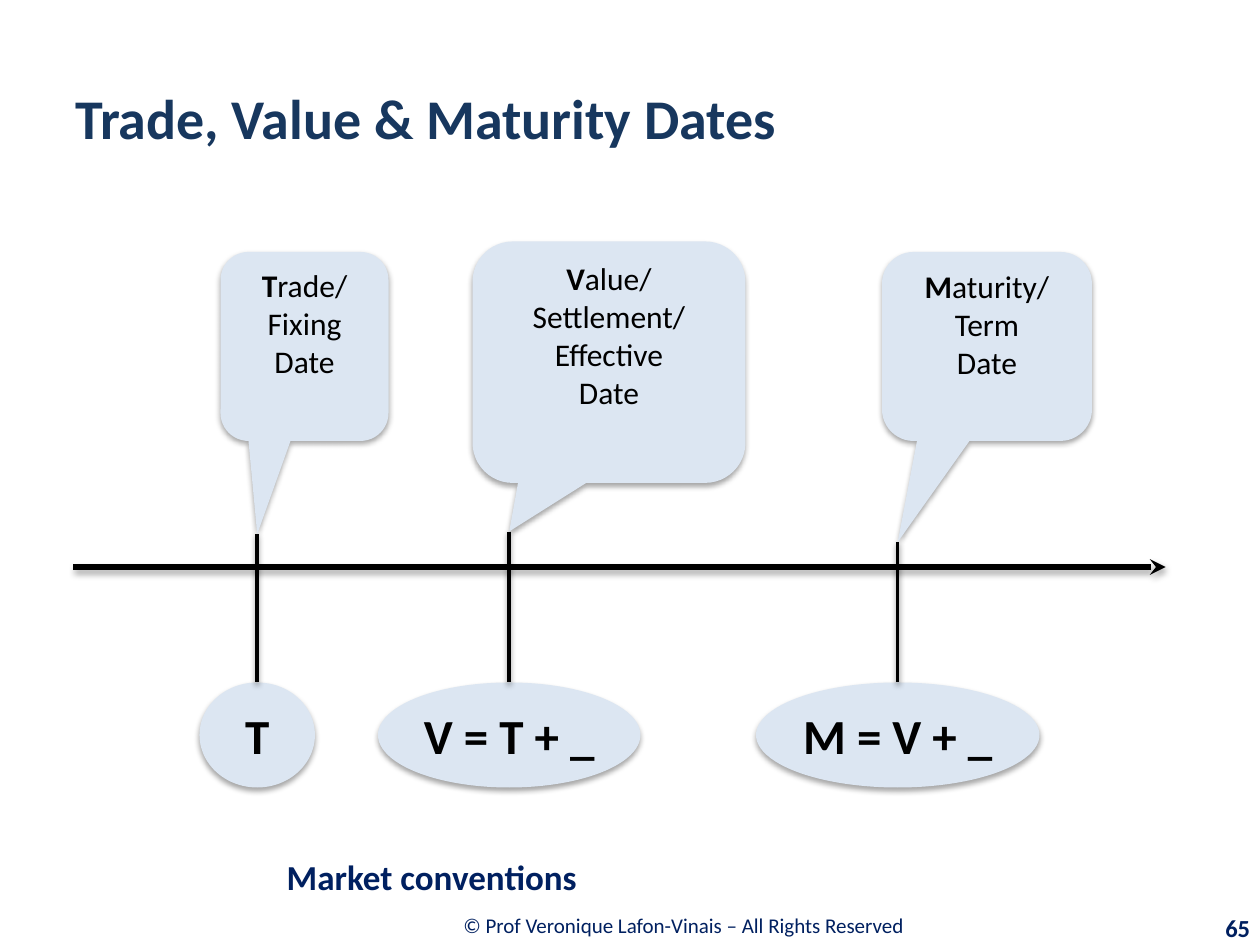
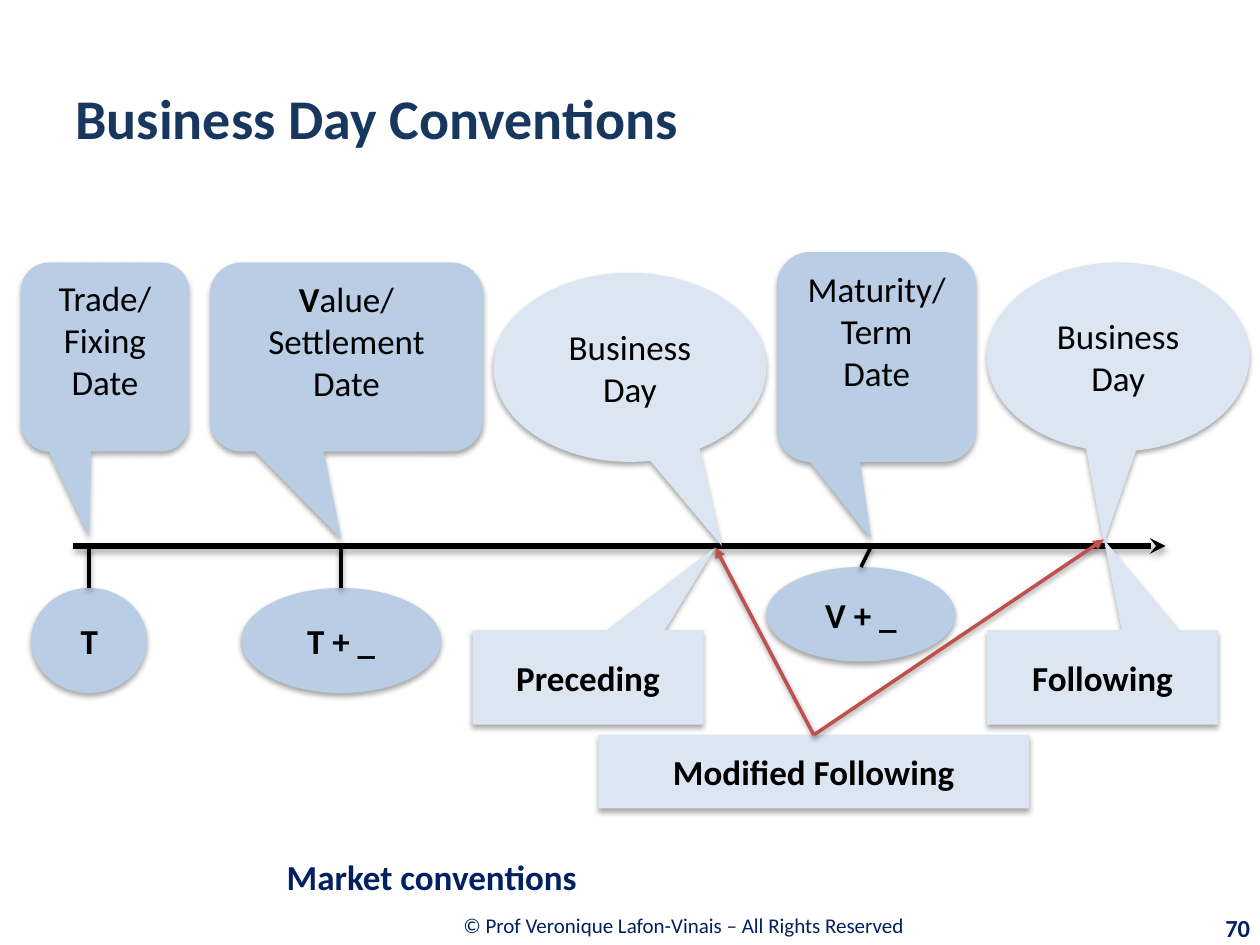
import pptx
import pptx.util
import pptx.dml.color
import pptx.enum.shapes
import pptx.enum.text
import pptx.oxml
import pptx.oxml.ns

RGB = pptx.dml.color.RGBColor
SHAPE = pptx.enum.shapes.MSO_SHAPE
ALIGN = pptx.enum.text.PP_ALIGN
ANCHOR = pptx.enum.text.MSO_ANCHOR

EMU_PER_PX = 9525
FONT = "Calibri"
WHITE = RGB(0xFF, 0xFF, 0xFF)
BLACK = RGB(0, 0, 0)
TITLE_BLUE = RGB(0x17, 0x37, 0x5E)
NAVY = RGB(0x00, 0x20, 0x60)
PALE_BLUE = RGB(0xDC, 0xE6, 0xF2)
MID_BLUE = RGB(0xB9, 0xCD, 0xE5)
RED = RGB(0xC0, 0x50, 0x4D)
TOP = 0  # connection site


def px(*lengths):
    return [pptx.util.Emu(n * EMU_PER_PX) for n in lengths]


def put_text(s, text, size=20, color=BLACK, bold=False, lead=0,
             align=ALIGN.CENTER, anchor=ANCHOR.MIDDLE, wrap=True):
    """Fill s with one paragraph per line; the first `lead` letters are bold."""
    tf = s.text_frame
    tf.word_wrap = wrap
    tf.vertical_anchor = anchor
    for i, line in enumerate(text.split("\n")):
        p = tf.add_paragraph() if i else tf.paragraphs[0]
        p.alignment = align
        n = 0 if i else lead
        for part, heavy in ((line[:n], True), (line[n:], bold)):
            if part:
                r = p.add_run()
                r.text = part
                r.font.name = FONT
                r.font.size = pptx.util.Pt(size)
                r.font.bold = heavy
                r.font.color.rgb = color


def add_label(slide, box, text, **fmt):
    put_text(slide.shapes.add_textbox(*px(*box)), text, **fmt)


def add_shadow(s, alpha=35, dist=23000):
    s._element.spPr.append(pptx.oxml.parse_xml(
        f'<a:effectLst {pptx.oxml.ns.nsdecls("a")}>'
        f'<a:outerShdw blurRad="40000" dist="{dist}" dir="5400000" rotWithShape="0">'
        f'<a:srgbClr val="000000"><a:alpha val="{alpha * 1000}"/></a:srgbClr>'
        '</a:outerShdw></a:effectLst>'))


def add_block(slide, kind, box, text, fill=PALE_BLUE, **fmt):
    s = slide.shapes.add_shape(kind, *px(*box))
    s.fill.solid()
    s.fill.fore_color.rgb = fill
    s.line.fill.background()
    add_shadow(s)
    put_text(s, text, **fmt)
    return s


def add_callout(slide, kind, box, tip, text, **fmt):
    """Add a callout whose pointer ends at the slide position tip."""
    s = add_block(slide, kind, box, text, **fmt)
    x, y, w, h = box
    s.adjustments[0] = (tip[0] - x - w / 2) / w
    s.adjustments[1] = (tip[1] - y - h / 2) / h
    return s


def add_date_callout(slide, box, tip, text, **fmt):
    return add_callout(slide, SHAPE.ROUNDED_RECTANGULAR_CALLOUT, box, tip, text,
                       anchor=ANCHOR.TOP, **fmt)


def add_line(slide, start, end, color=BLACK, width=2, head=None, shadow=(38, 20000),
             start_shape=None, end_shape=None):
    """Add a line; start_shape and end_shape are joined at the top."""
    c = slide.shapes.add_connector(pptx.enum.shapes.MSO_CONNECTOR.STRAIGHT,
                                   *px(*start, *end))
    if start_shape is not None:
        c.begin_connect(start_shape, TOP)
    if end_shape is not None:
        c.end_connect(end_shape, TOP)
    c.line.color.rgb = color
    c.line.width = pptx.util.Pt(width)
    if head:
        c.line._get_or_add_ln().append(pptx.oxml.parse_xml(
            f'<a:tailEnd {pptx.oxml.ns.nsdecls("a")} type="{head}"/>'))
    add_shadow(c, *shadow)


def add_time_axis(slide, y):
    add_line(slide, (56, y), (888, y), width=3, head="stealth", shadow=(35, 23000))


def add_date_oval(slide, box, stem_from, text, **fmt):
    """Add an oval and the stem that joins it to the time axis."""
    oval = add_block(slide, SHAPE.OVAL, box, text, bold=True, wrap=False, **fmt)
    add_line(slide, stem_from, (box[0] + box[2] // 2, box[1]), end_shape=oval)


def add_base_slide(prs, title, number):
    slide = prs.slides.add_slide(prs.slide_layouts[6])
    slide.background.fill.solid()
    slide.background.fill.fore_color.rgb = WHITE
    add_label(slide, (210, 686, 622, 37),
              "© Prof Veronique Lafon-Vinais – All Rights Reserved", size=12, color=NAVY)
    add_label(slide, (48, 29, 864, 120), title, size=32, color=TITLE_BLUE, bold=True,
              align=ALIGN.LEFT)
    add_label(slide, (865, 691, 97, 31), number, size=14, color=NAVY, bold=True,
              align=ALIGN.RIGHT)
    add_label(slide, (209, 645, 751, 45), "Market conventions", color=NAVY, bold=True,
              align=ALIGN.LEFT)
    return slide


def build_dates_slide(prs):
    slide = add_base_slide(prs, "Trade, Value & Maturity Dates", "65")
    add_time_axis(slide, 432)
    dates = [
        ((168, 192, 128, 144), 407, "Trade/\nFixing\nDate", 152, 88, "T"),
        ((360, 184, 208, 184), 405, "Value/\nSettlement/\nEffective\nDate",
         288, 200, "V = T + _"),
        ((672, 192, 160, 144), 413, "Maturity/\nTerm\nDate", 576, 216, "M = V + _"),
    ]
    for box, tip_y, name, oval_x, oval_w, formula in dates:
        tip = (oval_x + oval_w // 2, tip_y)
        add_date_callout(slide, box, tip, name, size=18, lead=1)
        add_date_oval(slide, (oval_x, 520, oval_w, 80), tip, formula, size=28)


def build_conventions_slide(prs):
    slide = add_base_slide(prs, "Business Day Conventions", "70")
    axis_y = 416
    add_time_axis(slide, axis_y)
    dates = [
        ((16, 200, 128, 144), (68, 409), "Trade/\nFixing\nDate", 0,
         (24, 448, 88, 80), "T"),
        ((160, 200, 208, 144), (260, 411), "Value/\nSettlement\nDate", 1,
         (184, 448, 152, 80), "T + _"),
        ((592, 192, 152, 160), (664, 411), "Maturity/\nTerm\nDate", 0,
         (584, 432, 144, 72), "V + _"),
    ]
    for box, tip, name, lead, oval_box, formula in dates:
        add_date_callout(slide, box, tip, name, fill=MID_BLUE, lead=lead)
        add_date_oval(slide, oval_box, (tip[0], axis_y), formula, fill=MID_BLUE)

    for box, tip in (((376, 208, 208, 144), (550, 416)),
                     ((752, 200, 200, 144), (841, 414))):
        add_callout(slide, SHAPE.OVAL_CALLOUT, box, tip, "Business\nDay")

    modified = add_block(slide, SHAPE.RECTANGLE, (456, 560, 328, 56),
                         "Modified Following", bold=True, wrap=False)
    rules = [("Preceding", 360, (545, 417)), ("Following", 752, (841, 411))]
    for name, x, tip in rules:
        add_callout(slide, SHAPE.RECTANGULAR_CALLOUT, (x, 480, 176, 72), tip, name,
                    bold=True)
    for _, _, tip in rules:
        add_line(slide, (620, 560), tip, color=RED, head="triangle",
                 start_shape=modified)


def main():
    prs = pptx.Presentation()
    prs.slide_width, prs.slide_height = px(960, 720)
    build_dates_slide(prs)
    build_conventions_slide(prs)
    prs.save("out.pptx")


if __name__ == "__main__":
    main()
